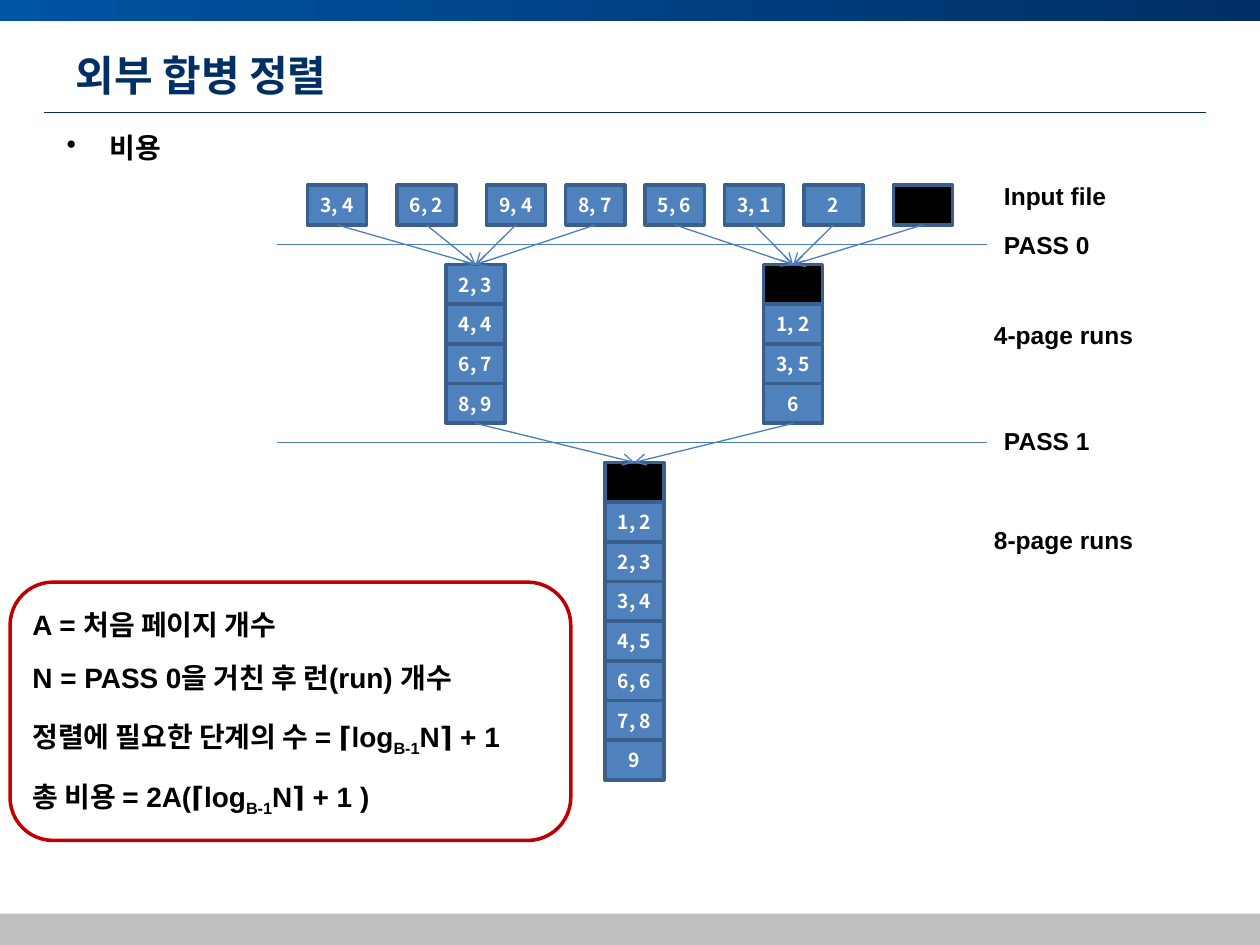
from dataclasses import dataclass
from itertools import accumulate

from pptx import Presentation
from pptx.dml.color import RGBColor as RGB
from pptx.enum.shapes import MSO_CONNECTOR as Connector, MSO_SHAPE as Shape
from pptx.enum.text import MSO_ANCHOR as Anchor, PP_ALIGN as Align
from pptx.oxml.ns import qn
from pptx.util import Inches, Pt


@dataclass(frozen=True)
class Theme:
    navy: RGB = RGB(0x00, 0x2F, 0x65)
    blue: RGB = RGB(0x00, 0x54, 0xA4)
    footer: RGB = RGB(0xBF, 0xBF, 0xBF)
    page: RGB = RGB(0x4F, 0x81, 0xBD)
    page_edge: RGB = RGB(0x3A, 0x5F, 0x8C)
    link: RGB = RGB(0x4B, 0x7E, 0xBC)
    frame: RGB = RGB(0xC0, 0x00, 0x00)
    black: RGB = RGB(0, 0, 0)
    white: RGB = RGB(255, 255, 255)
    latin: str = "Arial"
    korean: str = "Noto Sans CJK KR"
    title_size: int = 24
    body_size: int = 16
    label_size: int = 14
    page_size: int = 11


@dataclass(frozen=True)
class Label:
    text: str
    left: float
    top: float
    width: float = 1.26


@dataclass(frozen=True)
class Formula:
    top: float
    text: str
    subscript: str = ""
    rest: str = ""


THEME = Theme()
PAGE_W, PAGE_H = 0.47, 0.315
EMPTY = ""
INPUT_PAGES = ["3, 4", "6, 2", "9, 4", "8, 7", "5, 6", "3, 1", "2", EMPTY]
INPUT_STEPS = [0.71, 0.71, 0.63, 0.63, 0.63, 0.63, 0.71]
INPUT_TOP, RUN4_TOP, RUN8_TOP = 1.47, 2.1, 3.67
PASS_LINES = [1.94, 3.51]
LABELS = [
    Label("Input file", 7.87, 1.39),
    Label("PASS 0", 7.87, 1.78),
    Label("4-page runs", 7.79, 2.49, 1.69),
    Label("PASS 1", 7.87, 3.33),
    Label("8-page runs", 7.79, 4.12, 1.69),
]
FORMULAS = [
    Formula(4.77, "A = 처음 페이지 개수"),
    Formula(5.19, "N = PASS 0을 거친 후 런(run) 개수"),
    Formula(5.66, "정렬에 필요한 단계의 수 = ⌈log", "B-1", "N⌉ + 1"),
    Formula(6.14, "총 비용 = 2A(⌈log", "B-1", "N⌉ + 1 )"),
]


def style(paragraph, size: int, color: RGB, latin: str) -> None:
    """Set a bold font, with the Korean face for East Asian letters."""
    font = paragraph.font
    font.size, font.bold, font.name = Pt(size), True, latin
    font.color.rgb = color
    properties = paragraph._p.pPr.find(qn("a:defRPr"))
    east_asian = properties.makeelement(qn("a:ea"), {"typeface": THEME.korean})
    properties.find(qn("a:latin")).addnext(east_asian)


def add_box(slide, kind: Shape, left: float, top: float, width: float, height: float):
    box = slide.shapes.add_shape(kind, Inches(left), Inches(top), Inches(width), Inches(height))
    box.shadow.inherit = False
    return box


def add_text(slide, left: float, top: float, width: float, height: float, text: str, size: int):
    frame = slide.shapes.add_textbox(
        Inches(left), Inches(top), Inches(width), Inches(height)).text_frame
    frame.word_wrap = True
    paragraph = frame.paragraphs[0]
    paragraph.add_run().text = text
    style(paragraph, size, THEME.black, THEME.latin)
    return paragraph


def add_line(slide, start: tuple, end: tuple, color: RGB, width: float):
    line = slide.shapes.add_connector(Connector.STRAIGHT, *map(Inches, start + end))
    line.line.color.rgb, line.line.width = color, Pt(width)
    properties = line._element.spPr
    properties.append(properties.makeelement(qn("a:effectLst"), {}))
    return line


def add_arrow(slide, source, target) -> None:
    """Point from the bottom of one page to the top of another."""
    arrow = add_line(slide, (0, 0), (0, 0), THEME.link, 0.75)
    arrow.begin_connect(source, 2)
    arrow.end_connect(target, 0)
    outline = arrow.line._get_or_add_ln()
    outline.append(outline.makeelement(qn("a:tailEnd"), {"type": "arrow"}))


def add_page(slide, left: float, top: float, numbers: str):
    page = add_box(slide, Shape.RECTANGLE, left, top, PAGE_W, PAGE_H)
    page.fill.solid()
    page.fill.fore_color.rgb = THEME.page if numbers else THEME.black
    page.line.color.rgb, page.line.width = THEME.page_edge, Pt(2)
    if numbers:
        frame = page.text_frame
        frame.margin_left = frame.margin_right = 0
        frame.vertical_anchor = Anchor.MIDDLE
        paragraph = frame.paragraphs[0]
        paragraph.text, paragraph.alignment = numbers, Align.CENTER
        style(paragraph, THEME.page_size, THEME.white, THEME.korean)
    return page


def add_run_stack(slide, left: float, top: float, pages: list[str]) -> list:
    return [add_page(slide, left, top + i * PAGE_H, numbers) for i, numbers in enumerate(pages)]


def add_header_and_footer(slide) -> None:
    header = add_box(slide, Shape.RECTANGLE, 0, 0, 10, 0.17)
    header.fill.gradient()
    header.fill.gradient_angle = 0
    for stop, color in zip(header.fill.gradient_stops, (THEME.blue, THEME.navy)):
        stop.color.rgb = color
    footer = add_box(slide, Shape.RECTANGLE, 0, 7.25, 10, 0.25)
    footer.fill.solid()
    footer.fill.fore_color.rgb = THEME.footer
    for band in (header, footer):
        band.line.fill.background()
    add_line(slide, (0.35, 0.89), (9.57, 0.89), THEME.navy, 0.5)


def add_title(slide, text: str) -> None:
    title = slide.shapes.title
    title.left, title.top, title.width, title.height = map(Inches, (0.5, 0.3, 9, 0.58))
    title.text_frame.vertical_anchor = Anchor.MIDDLE
    paragraph = title.text_frame.paragraphs[0]
    paragraph.text, paragraph.alignment = text, Align.LEFT
    style(paragraph, THEME.title_size, THEME.navy, THEME.korean)


def add_heading(slide, text: str) -> None:
    paragraph = add_text(slide, 0.43, 0.99, 4.06, 0.37, text, THEME.body_size)
    properties = paragraph._p.get_or_add_pPr()
    properties.set("marL", str(Inches(0.34)))
    properties.set("indent", str(-Inches(0.34)))
    properties.insert(0, properties.makeelement(qn("a:buChar"), {"char": "•"}))


def add_merge_tree(slide) -> None:
    lefts = accumulate(INPUT_STEPS, initial=2.44)
    inputs = [add_page(slide, left, INPUT_TOP, numbers)
              for left, numbers in zip(lefts, INPUT_PAGES)]
    first_run = add_run_stack(slide, 3.54, RUN4_TOP, ["2, 3", "4, 4", "6, 7", "8, 9"])
    second_run = add_run_stack(slide, 6.06, RUN4_TOP, [EMPTY, "1, 2", "3, 5", "6"])
    final_run = add_run_stack(
        slide, 4.8, RUN8_TOP, [EMPTY, "1, 2", "2, 3", "3, 4", "4, 5", "6, 6", "7, 8", "9"])
    for height in PASS_LINES:
        add_line(slide, (7.83, height), (2.2, height), THEME.link, 0.75)
    for sources, run in ((inputs[:4], first_run), (inputs[4:], second_run),
                         ((first_run[-1], second_run[-1]), final_run)):
        for source in sources:
            add_arrow(slide, source, run[0])


def add_cost_summary(slide) -> None:
    frame = add_box(slide, Shape.ROUNDED_RECTANGLE, 0.08, 4.62, 4.45, 2.05)
    frame.fill.background()
    frame.line.color.rgb, frame.line.width = THEME.frame, Pt(2)
    for formula in FORMULAS:
        paragraph = add_text(slide, 0.16, formula.top, 4.76, 0.37, formula.text, THEME.body_size)
        if formula.subscript:
            base = paragraph.add_run()
            base.text = formula.subscript
            base._r.get_or_add_rPr().set("baseline", "-25000")
            paragraph.add_run().text = formula.rest


def main() -> None:
    deck = Presentation()
    deck.slide_width, deck.slide_height = Inches(10), Inches(7.5)
    slide = deck.slides.add_slide(deck.slide_layouts[5])
    add_header_and_footer(slide)
    add_title(slide, "외부 합병 정렬")
    add_heading(slide, "비용")
    add_merge_tree(slide)
    for label in LABELS:
        add_text(slide, label.left, label.top, label.width, 0.34, label.text, THEME.label_size)
    add_cost_summary(slide)
    deck.save("out.pptx")


if __name__ == "__main__":
    main()
